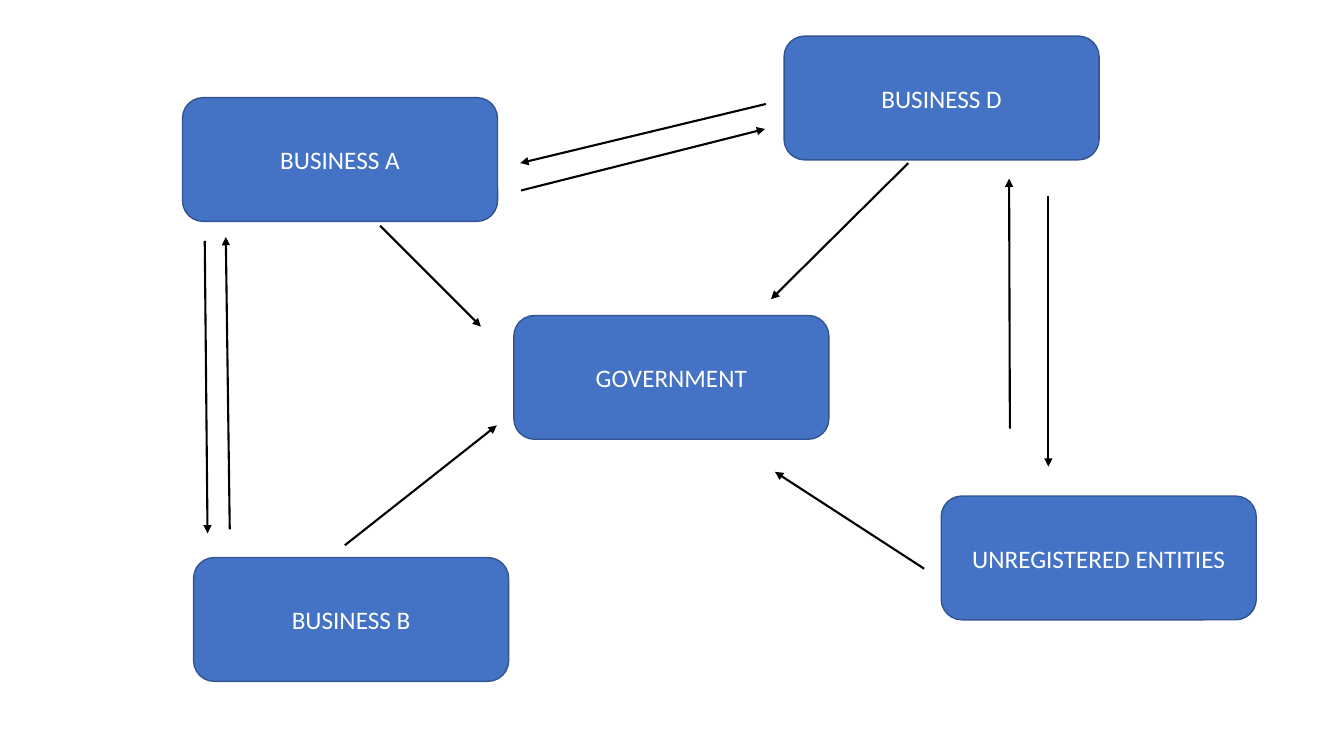
"""Build a slide of the flows between businesses, government and unregistered entities."""
from typing import NamedTuple

from lxml import etree
from pptx import Presentation
from pptx.dml.color import RGBColor
from pptx.enum.shapes import MSO_CONNECTOR, MSO_SHAPE
from pptx.enum.text import MSO_ANCHOR, PP_ALIGN
from pptx.oxml.ns import qn
from pptx.shapes.autoshape import Shape
from pptx.slide import Slide
from pptx.util import Cm, Pt

ROUNDED = MSO_SHAPE.ROUNDED_RECTANGLE
STRAIGHT = MSO_CONNECTOR.STRAIGHT
MIDDLE = MSO_ANCHOR.MIDDLE
CENTER = PP_ALIGN.CENTER

BOX_WIDTH, BOX_HEIGHT = Cm(7.94), Cm(3.12)
BLUE, DARK_BLUE, WHITE, BLACK = "4472C4", "325491", "FFFFFF", "000000"


class Party(NamedTuple):
    name: str
    left: float
    top: float


class Flow(NamedTuple):
    start_x: float
    start_y: float
    end_x: float
    end_y: float


PARTIES = [
    Party("GOVERNMENT", 12.95, 7.95),
    Party("BUSINESS B", 4.88, 14.05),
    Party("BUSINESS D", 19.76, 0.91),
    Party("BUSINESS A", 4.6, 2.46),
    Party("UNREGISTERED ENTITIES", 23.72, 12.5),
]

FLOWS_TO_GOVERNMENT = [
    Flow(9.58, 5.69, 12.12, 8.23),
    Flow(23.29, 14.33, 19.53, 11.89),
    Flow(8.69, 13.74, 12.52, 10.72),
    Flow(22.89, 4.11, 19.43, 7.54),
]

FLOWS_BETWEEN_PARTIES = [
    Flow(25.45, 10.8, 25.43, 4.5),
    Flow(26.42, 4.93, 26.42, 11.76),
    Flow(5.79, 13.34, 5.69, 5.97),
    Flow(5.16, 6.07, 5.23, 13.44),
    Flow(13.13, 4.8, 19.28, 3.25),
    Flow(19.3, 2.62, 13.11, 4.11),
]


def color(value: str) -> RGBColor:
    """Return the colour for a hex string."""
    return RGBColor.from_string(value)


def write(box: Shape, text: str, *, size: float = 18, font: str = "Calibri",
          ink: str = WHITE) -> None:
    """Write centred text in a box."""
    frame = box.text_frame
    frame.word_wrap = True
    frame.vertical_anchor = MIDDLE
    para = frame.paragraphs[0]
    para.alignment = CENTER
    span = para.add_run()
    span.text = text
    span.font.size = Pt(size)
    span.font.name = font
    span.font.color.rgb = color(ink)


def draw_party(page: Slide, party: Party) -> None:
    """Draw a party as a rounded box with its name."""
    box = page.shapes.add_shape(ROUNDED, Cm(party.left), Cm(party.top),
                                BOX_WIDTH, BOX_HEIGHT)
    box.shadow.inherit = False
    box.fill.solid()
    box.fill.fore_color.rgb = color(BLUE)
    box.line.color.rgb = color(DARK_BLUE)
    box.line.width = Pt(1)
    write(box, party.name)


def draw_flow(page: Slide, flow: Flow) -> None:
    """Draw a flow as an arrow pointing at its end."""
    arrow = page.shapes.add_connector(STRAIGHT, *(Cm(length) for length in flow))
    arrow.line.color.rgb = color(BLACK)
    arrow.line.width = Pt(1.5)
    properties = arrow.element.spPr
    outline = properties.find(qn("a:ln"))
    etree.SubElement(outline, qn("a:tailEnd"), type="triangle")
    etree.SubElement(properties, qn("a:effectLst"))


def main() -> None:
    """Build and save the deck."""
    deck = Presentation()
    deck.slide_width, deck.slide_height = Cm(33.87), Cm(19.05)
    page = deck.slides.add_slide(deck.slide_layouts[6])
    for party in PARTIES:
        draw_party(page, party)
    for flow in FLOWS_TO_GOVERNMENT + FLOWS_BETWEEN_PARTIES:
        draw_flow(page, flow)
    deck.save("out.pptx")


main()
